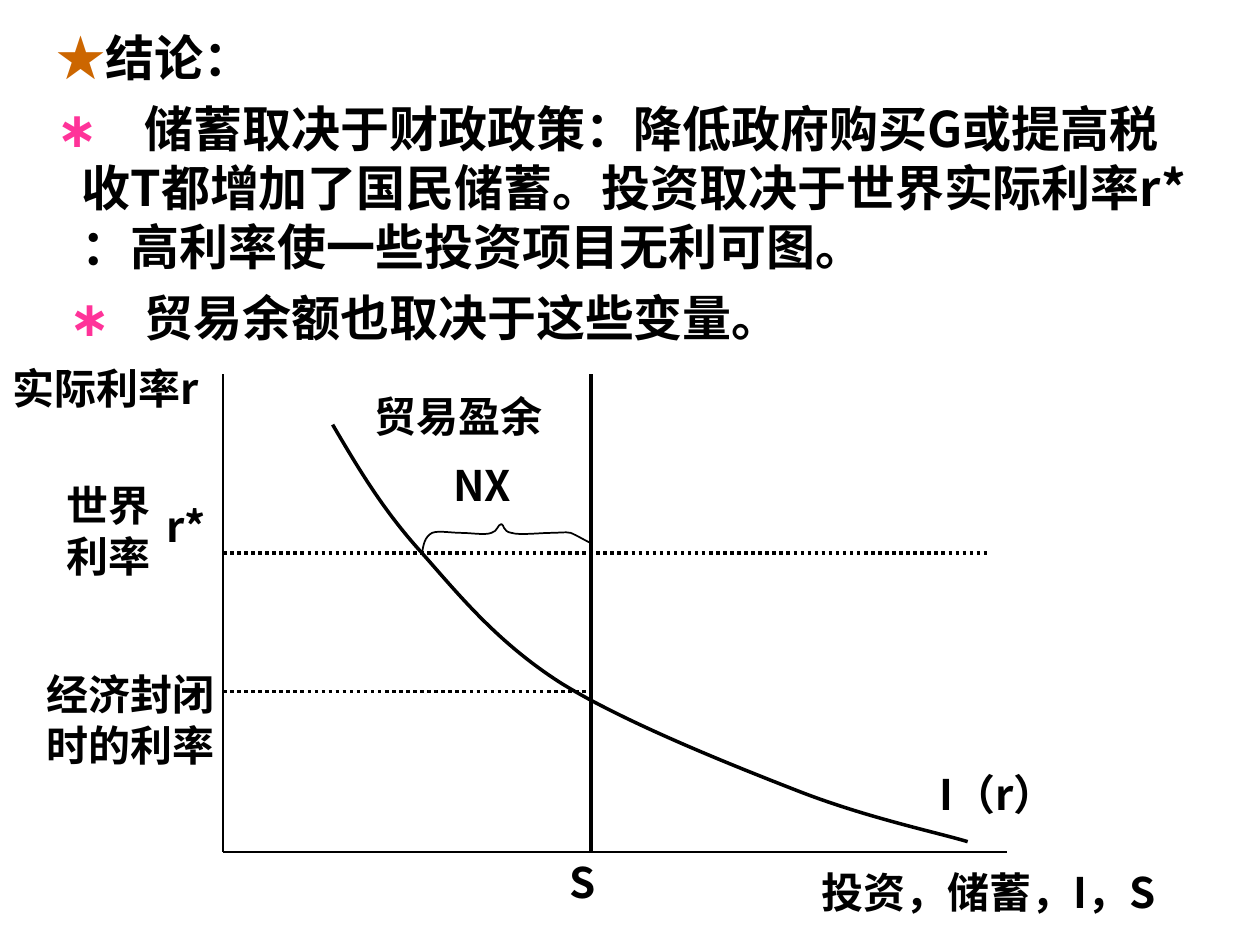
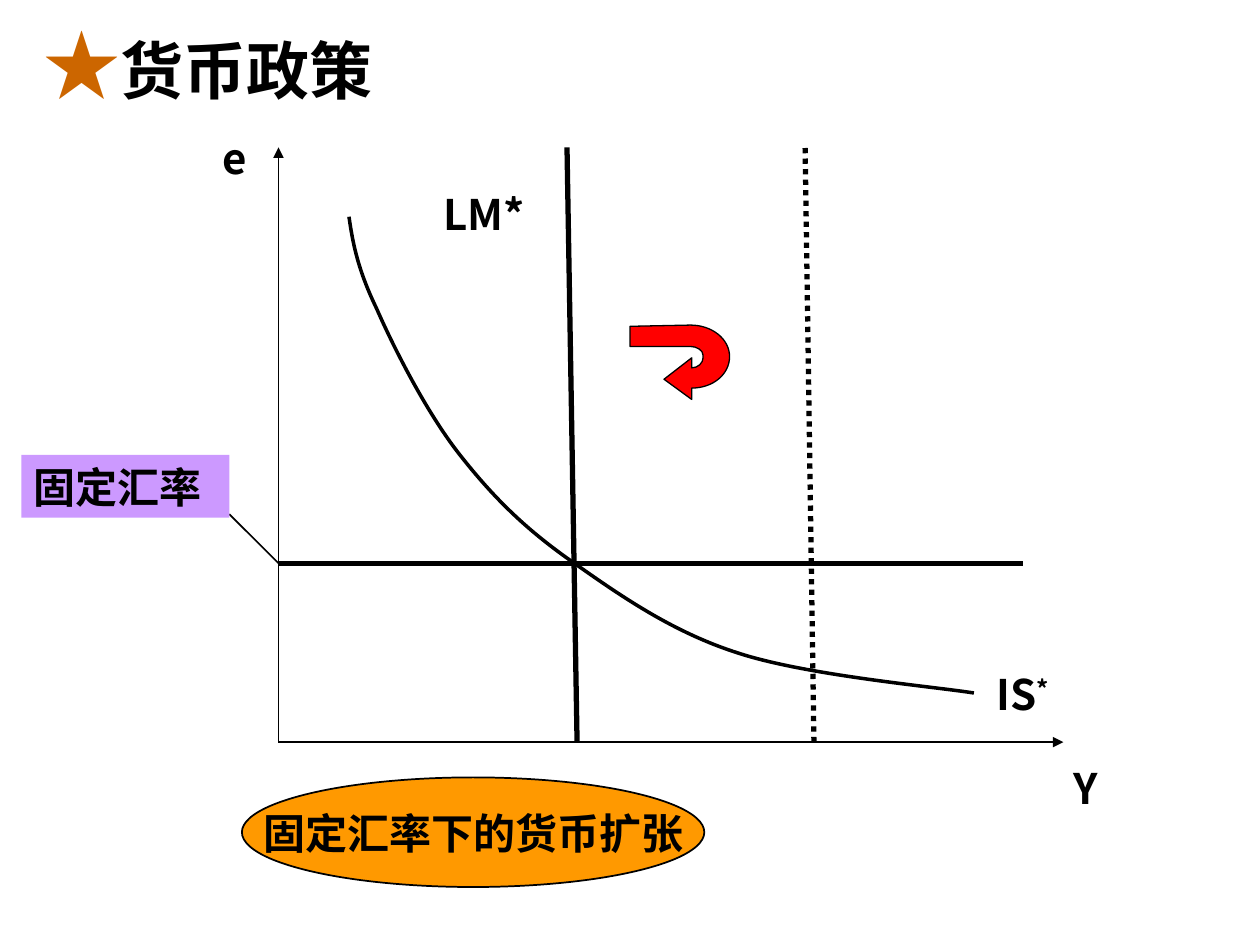
from itertools import chain
from pptx import Presentation
from pptx.dml.color import RGBColor
from pptx.enum.dml import MSO_LINE as Dash
from pptx.enum.shapes import MSO_CONNECTOR as Conn, MSO_SHAPE as Kind
from pptx.enum.text import MSO_ANCHOR as Anchor, MSO_AUTO_SIZE as Fit, PP_ALIGN as Align
from pptx.oxml.ns import qn
from pptx.oxml.xmlchemy import OxmlElement as Elem
from pptx.util import Inches, Pt

FONT = "Noto Sans CJK SC"
BLACK, STAR, PINK = "000000", "CC6600", "FF3399"
ORANGE, LILAC, RED = "FF9900", "CC99FF", "FF0000"
HANG = 0.38


def rgb(code):
    return RGBColor.from_string(code)


def style(run, size=24, color=BLACK):
    font = run.font
    font.size, font.bold, font.name = Pt(size), True, FONT
    font.color.rgb = rgb(color)
    east = Elem("a:ea")
    east.set("typeface", FONT)
    run._r.get_or_add_rPr().append(east)


def add_runs(para, parts):
    """Add (text, size, colour) parts to a paragraph."""
    for text, size, color in parts:
        run = para.add_run()
        run.text = text
        style(run, size, color)


def indent(para, first, stops=()):
    """Hang the paragraph, with its first line starting at the given inset."""
    props = para._p.get_or_add_pPr()
    props.set("marL", str(Inches(HANG)))
    props.set("indent", str(Inches(first - HANG)))
    if stops:
        tabs = Elem("a:tabLst")
        for stop in stops:
            tab = Elem("a:tab")
            tab.set("pos", str(Inches(stop)))
            tab.set("algn", "l")
            tabs.append(tab)
        props.append(tabs)


def text_box(slide, x, y, w, h):
    box = slide.shapes.add_textbox(Inches(x), Inches(y), Inches(w), Inches(h))
    box.text_frame.word_wrap = True
    return box.text_frame


class Graph:
    """Draws on a slide, in inches from the top left corner of the axes."""

    def __init__(self, slide, x, y, w, h):
        self.shapes, self.slide = slide.shapes, slide
        self.x, self.y, self.w, self.h = x, y, w, h

    def at(self, x, y):
        return Inches(self.x + x), Inches(self.y + y)

    def line(self, start, end, width=1, dash=None, arrow=False):
        line = self.shapes.add_connector(Conn.STRAIGHT, *self.at(*start), *self.at(*end))
        line._element.spPr.append(Elem("a:effectLst"))
        line.line.width, line.line.color.rgb = Pt(width), rgb(BLACK)
        if dash:
            line.line.dash_style = dash
        if arrow:
            tail = Elem("a:tailEnd")
            tail.set("type", "triangle")
            line.line._get_or_add_ln().append(tail)

    def axes(self, arrow=False):
        for end in ((0, 0), (self.w, self.h)):
            self.line((0, self.h), end, arrow=arrow)

    def curve(self, start, steps, width, fill=None):
        """Steps of two numbers are straight, steps of six are Bezier curves."""
        pairs = chain.from_iterable(zip(s[::2], s[1::2]) for s in steps)
        pen = self.shapes.build_freeform(*self.at(*start))
        pen.add_line_segments([self.at(*p) for p in pairs], close=bool(fill))
        shape = pen.convert_to_shape()
        lines = iter(list(shape._element.iter(qn("a:lnTo"))))
        for step in steps:
            group = [next(lines) for _ in step[::2]]
            if len(group) == 3:
                bend = Elem("a:cubicBezTo")
                group[0].addprevious(bend)
                for item in group:
                    bend.append(item[0])
                    item.getparent().remove(item)
        self.paint(shape, fill, width)

    def paint(self, shape, fill, width):
        shape.shadow.inherit = False
        if fill:
            shape.fill.solid()
            shape.fill.fore_color.rgb = rgb(fill)
        else:
            shape.fill.background()
        if width:
            shape.line.width, shape.line.color.rgb = Pt(width), rgb(BLACK)
        else:
            shape.line.fill.background()

    def label(self, text, x, y, w):
        frame = text_box(self.slide, self.x + x, self.y + y, w, 0.5)
        frame.auto_size = Fit.SHAPE_TO_FIT_TEXT
        frame.text = text
        style(frame.paragraphs[0].runs[0])
        return frame.paragraphs[0]

    def block(self, kind, text, x, y, w, h, fill, width, align, anchor):
        shape = self.shapes.add_shape(kind, *self.at(x, y), Inches(w), Inches(h))
        self.paint(shape, fill, width)
        frame = shape.text_frame
        frame.text, frame.word_wrap, frame.vertical_anchor = text, False, anchor
        frame.paragraphs[0].alignment = align
        style(frame.paragraphs[0].runs[0])


def findings(slide, x, y, w, h):
    frame = text_box(slide, x, y, w, h)
    rows = [
        (0.18, "★", STAR, "结论："),
        (0.18, "∗", PINK, "\t储蓄取决于财政政策：降低政府购买G或提高税收T都增加了国民储蓄。"
         "投资取决于世界实际利率r* ：高利率使一些投资项目无利可图。"),
        (0.28, "∗", PINK, "\t贸易余额也取决于这些变量。"),
    ]
    for i, (first, mark, color, text) in enumerate(rows):
        para = frame.add_paragraph() if i else frame.paragraphs[0]
        if i:
            para.space_before = Pt(7)
        indent(para, first, (HANG, 2 * HANG) if i else ())
        add_runs(para, [(mark, 28, color), (text, 28, BLACK)])


def trade_graph(slide, x, y, w, h):
    graph = Graph(slide, x, y, w, h)
    save, world, closed = 2.92, 1.42, 2.52
    graph.axes()
    graph.line((save, 0), (save, h), 2)
    graph.curve((0.87, 0.4), [
        (1.07, 0.74, 1.27, 1.08, 1.58, world),
        (1.88, 1.76, 2.18, 2.13, 2.68, 2.45),
        (3.18, 2.76, 4.03, 3.1, 4.57, 3.31),
        (5.11, 3.52, 5.68, 3.64, 5.91, 3.71)], 2)
    graph.line((0, world), (6.07, world), 2, Dash.ROUND_DOT)
    graph.line((0, closed), (save, closed), 2, Dash.ROUND_DOT)
    graph.curve((1.58, world), [
        (1.59, 1.36, 1.6, 1.29, 1.66, 1.26),
        (1.71, 1.24, 1.81, 1.26, 1.89, 1.26),
        (1.97, 1.26, 2.08, 1.28, 2.13, 1.26),
        (2.18, 1.25, 2.18, 1.19, 2.21, 1.19),
        (2.23, 1.19, 2.22, 1.25, 2.29, 1.26),
        (2.35, 1.28, 2.52, 1.26, 2.6, 1.26),
        (2.68, 1.26, 2.71, 1.25, 2.76, 1.26),
        (2.81, 1.28, 2.89, 1.33, save, 1.34)], 1)
    for label in [
        ("实际利率r", -1.77, -0.14, 2.44),
        ("r*", -0.55, 0.95, 0.71),
        ("世界利率", -1.34, 0.79, 0.98),
        ("经济封闭时的利率", -1.5, 2.29, 1.65),
        ("贸易盈余", 1.1, 0.08, 1.65),
        ("NX", 1.73, 0.63, 0.87),
        ("投资，储蓄，I，S", 4.65, 3.86, 3.31),
        ("I（r）", 5.59, 3.08, 1.39),
        ("S", 2.65, 3.78, 0.58),
    ]:
        graph.label(*label)


def heading(slide, x, y, w, h):
    para = text_box(slide, x, y, w, h).paragraphs[0]
    para.line_spacing = 0.9
    indent(para, 0)
    add_runs(para, [("★", 44, STAR), ("货币政策", 36, BLACK)])


def money_graph(slide, x, y, w, h):
    graph = Graph(slide, x, y, w, h)
    rate = 3.3
    graph.axes(arrow=True)
    graph.curve((0.56, 0.55), [
        (0.59, 0.76, 0.63, 0.97, 0.78, 1.28),
        (0.92, 1.6, 1.18, 2.11, 1.44, 2.44),
        (1.7, 2.77, 1.95, 3.02, 2.32, 3.28),
        (2.69, 3.54, 3.11, 3.84, 3.64, 4.01),
        (4.18, 4.19, 5.21, 4.28, 5.52, 4.33)], 2)
    graph.label("e", -0.54, -0.17, 0.5)
    graph.label("Y", 6.21, 4.83, 0.73)
    graph.label("LM*", 1.21, 0.28, 1.02)
    name = graph.label("IS", 5.6, 4.09, 0.87)
    add_runs(name, [("*", 24, BLACK)])
    name.runs[1]._r.get_or_add_rPr().set("baseline", "30000")

    graph.line((0, rate), (5.91, rate), 3)
    graph.line((2.37, h), (2.29, 0), 3)
    graph.line((-0.39, 2.91), (0, rate))
    graph.line((4.25, h), (4.18, 0), 3, Dash.ROUND_DOT)
    graph.block(Kind.OVAL, "固定汇率下的货币扩张", -0.29, 5, 3.67, 0.87,
                ORANGE, 1, Align.CENTER, Anchor.MIDDLE)
    graph.block(Kind.RECTANGLE, "固定汇率", -2.04, 2.44, 1.65, 0.5,
                LILAC, 0, Align.LEFT, Anchor.TOP)
    graph.curve((3.06, 1.84), [
        (3.28, 2), (3.28, 1.91),
        (3.45, 1.91, 3.58, 1.8, 3.58, 1.66),
        (3.58, 1.52, 3.44, 1.41, 3.27, 1.41),
        (2.79, 1.42), (2.79, 1.58), (3.27, 1.58),
        (3.32, 1.58, 3.37, 1.61, 3.37, 1.65),
        (3.37, 1.67),
        (3.37, 1.71, 3.33, 1.75, 3.28, 1.75),
        (3.28, 1.67)], 0.75, RED)


def main():
    deck = Presentation()
    deck.slide_width, deck.slide_height = Inches(10), Inches(7.5)
    blank = deck.slide_layouts[6]
    trade = deck.slides.add_slide(blank)
    findings(trade, 0.17, 0.17, 9.45, 2.58)
    trade_graph(trade, 1.77, 2.97, 6.22, 3.79)
    money = deck.slides.add_slide(blank)
    money_graph(money, 2.21, 1.17, 6.23, 4.72)
    heading(money, 0.25, 0.17, 4.5, 0.76)
    deck.save("out.pptx")


if __name__ == "__main__":
    main()
